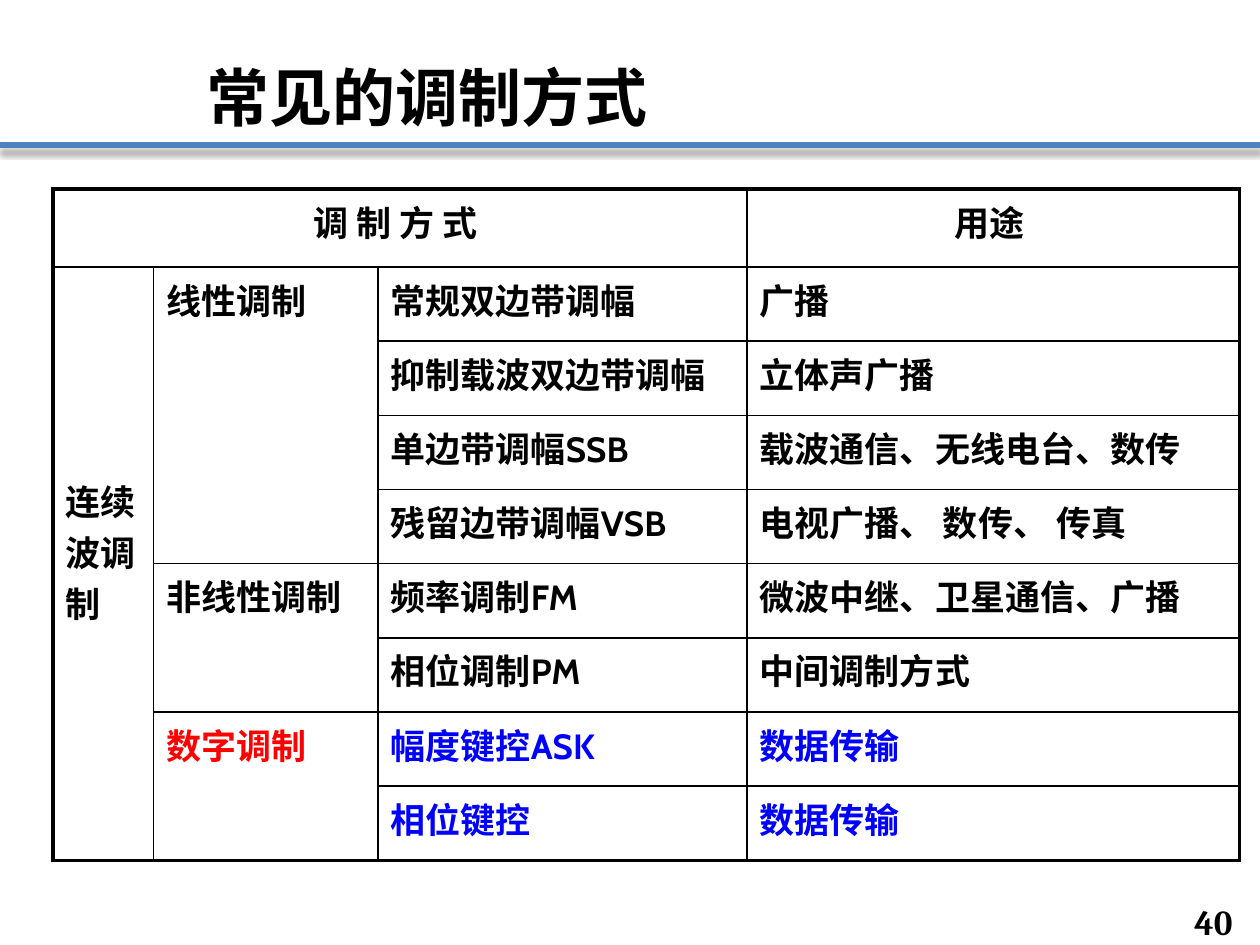
"""Build the slide that lists common modulation methods and their uses."""
from lxml import etree
from pptx import Presentation
from pptx import util as u
from pptx.dml.color import RGBColor
from pptx.enum import shapes, text
from pptx.oxml import ns

BLACK = RGBColor(0x00, 0x00, 0x00)
RED = RGBColor(0xFF, 0x00, 0x00)
BLUE = RGBColor(0x00, 0x00, 0xFF)
RULE = RGBColor(0x4F, 0x81, 0xBD)

COLUMNS = [57.6, 128.2, 211, 281.4]
ROWS = [44.6] + [42.4] * 8
METHODS = [
    ("线性调制", BLACK, BLACK, [
        ("常规双边带调幅", "广播"),
        ("抑制载波双边带调幅", "立体声广播"),
        ("单边带调幅SSB", "载波通信、无线电台、数传"),
        ("残留边带调幅VSB", "电视广播、 数传、 传真"),
    ]),
    ("非线性调制", BLACK, BLACK, [
        ("频率调制FM", "微波中继、卫星通信、广播"),
        ("相位调制PM", "中间调制方式"),
    ]),
    ("数字调制", RED, BLUE, [
        ("幅度键控ASK", "数据传输"),
        ("相位键控", "数据传输"),
    ]),
]


class Deck:
    """Hold the text style and the current slide."""

    def __init__(self, s, font="Cabin", size=20, thin=1, thick=2.25):
        self.s, self.font, self.size = s, font, size
        self.thin, self.thick = thin, thick

    def run(self, p, words, color=BLACK, font=None, size=None):
        r = p.add_run()
        r.text = words
        r.font.name = font or self.font
        r.font.size = u.Pt(size or self.size)
        r.font.bold = True
        r.font.color.rgb = color

    def text(self, box, words, font, size, anchor, align, spacing=1.0):
        sp = self.s.shapes.add_textbox(*map(u.Pt, box))
        tf = sp.text_frame
        tf.word_wrap = True
        tf.vertical_anchor = anchor
        p = tf.paragraphs[0]
        p.alignment = align
        p.line_spacing = spacing
        self.run(p, words, font=font, size=size)

    def rule(self, x1, y1, x2, y2):
        sp = self.s.shapes.add_connector(
            shapes.MSO_CONNECTOR.STRAIGHT, *map(u.Pt, (x1, y1, x2, y2)))
        sp.line.color.rgb = RULE
        sp.line.width = u.Pt(3)
        effects = etree.SubElement(sp._element.spPr, ns.qn("a:effectLst"))
        shadow = etree.SubElement(
            effects, ns.qn("a:outerShdw"), blurRad=str(u.Pt(4)),
            dist=str(u.Pt(3)), dir="5400000", rotWithShape="0")
        color = etree.SubElement(shadow, ns.qn("a:srgbClr"), val=str(BLACK))
        etree.SubElement(color, ns.qn("a:alpha"), val="43000")

    def table(self, x, y, columns, rows):
        sp = self.s.shapes.add_table(
            len(rows), len(columns), u.Pt(x), u.Pt(y),
            u.Pt(sum(columns)), u.Pt(sum(rows)))
        table = sp.table
        table.first_row = table.horz_banding = False
        for column, width in zip(table.columns, columns):
            column.width = u.Pt(width)
        for row, height in zip(table.rows, rows):
            row.height = u.Pt(height)
        return table

    def cell(self, table, row, col, words, color=BLACK, align=None, span=(1, 1)):
        cell = table.cell(row, col)
        if span != (1, 1):
            cell.merge(table.cell(row + span[0] - 1, col + span[1] - 1))
        p = cell.text_frame.paragraphs[0]
        p.alignment = align
        self.run(p, words, color)
        return cell

    def borders(self, table):
        last_row, last_col = len(table.rows) - 1, len(table.columns) - 1
        for i in range(last_row + 1):
            for j in range(last_col + 1):
                cell = table.cell(i, j)
                high = cell.span_height if cell.is_merge_origin else 1
                wide = cell.span_width if cell.is_merge_origin else 1
                outer = {"lnL": j == 0, "lnR": j + wide - 1 == last_col,
                         "lnT": i == 0, "lnB": i + high - 1 == last_row}
                tc_pr = cell._tc.get_or_add_tcPr()
                for side, edge in outer.items():
                    width = u.Pt(self.thick if edge else self.thin)
                    ln = etree.SubElement(tc_pr, ns.qn("a:" + side), w=str(width))
                    fill = etree.SubElement(ln, ns.qn("a:solidFill"))
                    etree.SubElement(fill, ns.qn("a:srgbClr"), val=str(BLACK))
                cell.fill.background()


def main():
    prs = Presentation()
    prs.slide_width, prs.slide_height = u.Pt(720), u.Pt(540)
    deck = Deck(prs.slides.add_slide(prs.slide_layouts[6]))
    align, anchor = text.PP_ALIGN, text.MSO_ANCHOR

    deck.rule(0, 82.8, 720, 82.8)
    deck.text((111, 21, 540, 60), "常见的调制方式", "Arial", 36,
              anchor.BOTTOM, align.LEFT, 0.9)

    table = deck.table(30.2, 108, COLUMNS, ROWS)
    deck.cell(table, 0, 0, "调 制 方 式 ", align=align.CENTER, span=(1, 3))
    deck.cell(table, 0, 3, "用途 ", align=align.CENTER)
    family = deck.cell(table, 1, 0, "连续波调制", span=(len(ROWS) - 1, 1))
    family.vertical_anchor = anchor.MIDDLE
    family.margin_bottom = u.Pt(18)
    row = 1
    for group, group_color, color, uses in METHODS:
        deck.cell(table, row, 1, group, group_color, span=(len(uses), 1))
        for method, use in uses:
            deck.cell(table, row, 2, method, color)
            deck.cell(table, row, 3, use, color)
            row += 1
    deck.borders(table)

    deck.text((661.7, 516.2, 49.7, 20.2), "40", "Cambria", 20,
              anchor.MIDDLE, align.RIGHT)
    prs.save("out.pptx")


if __name__ == "__main__":
    main()
